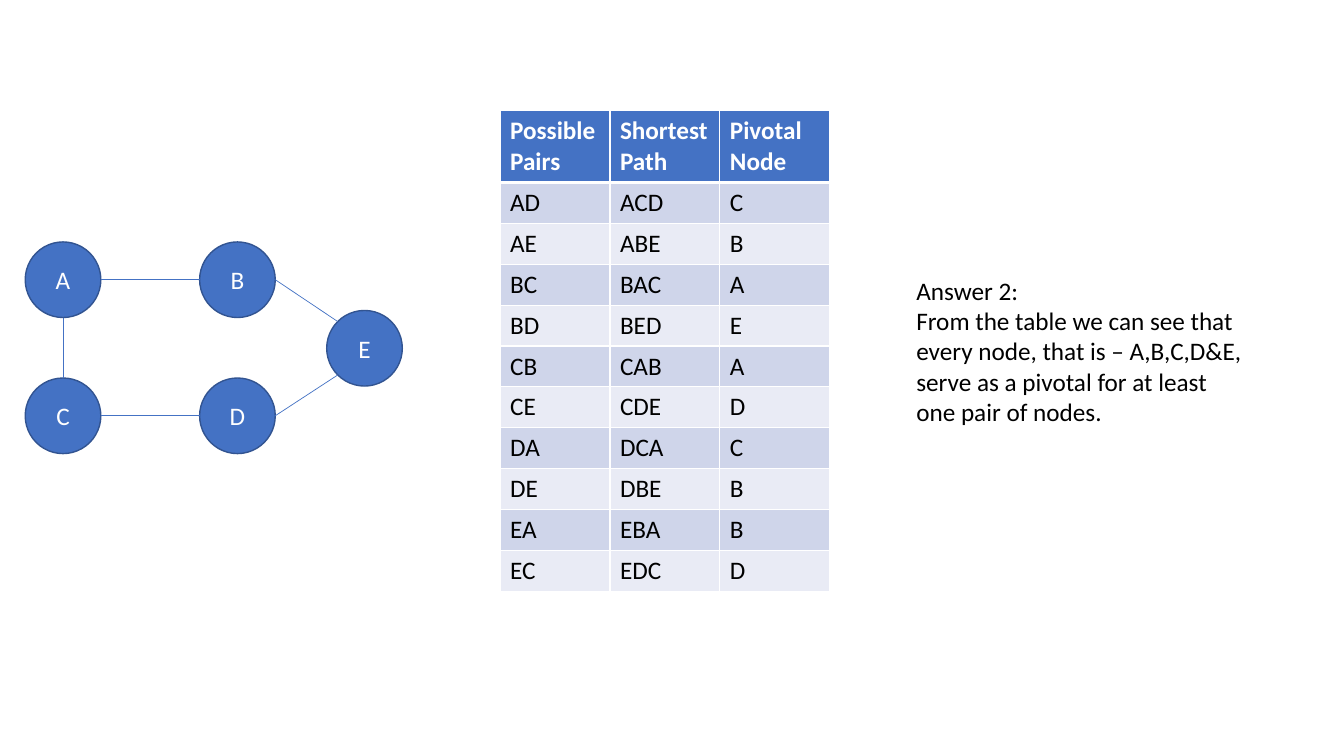
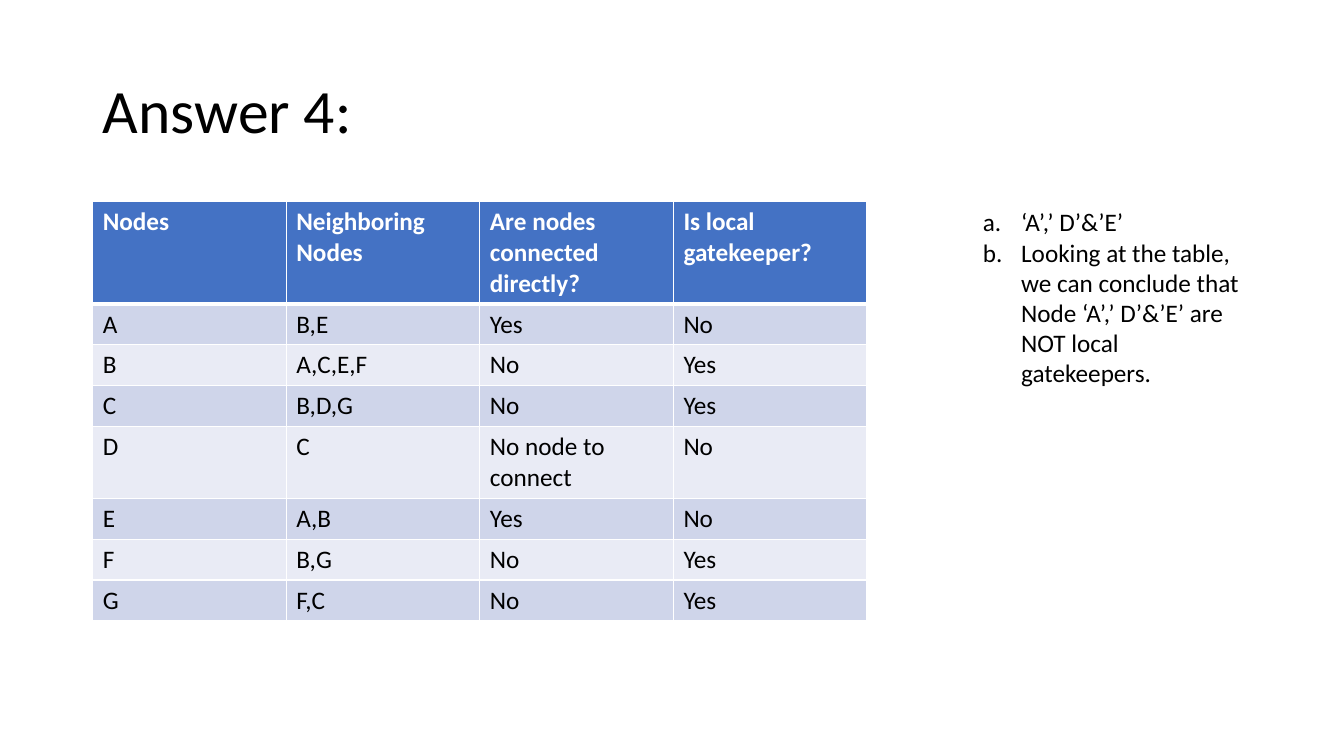
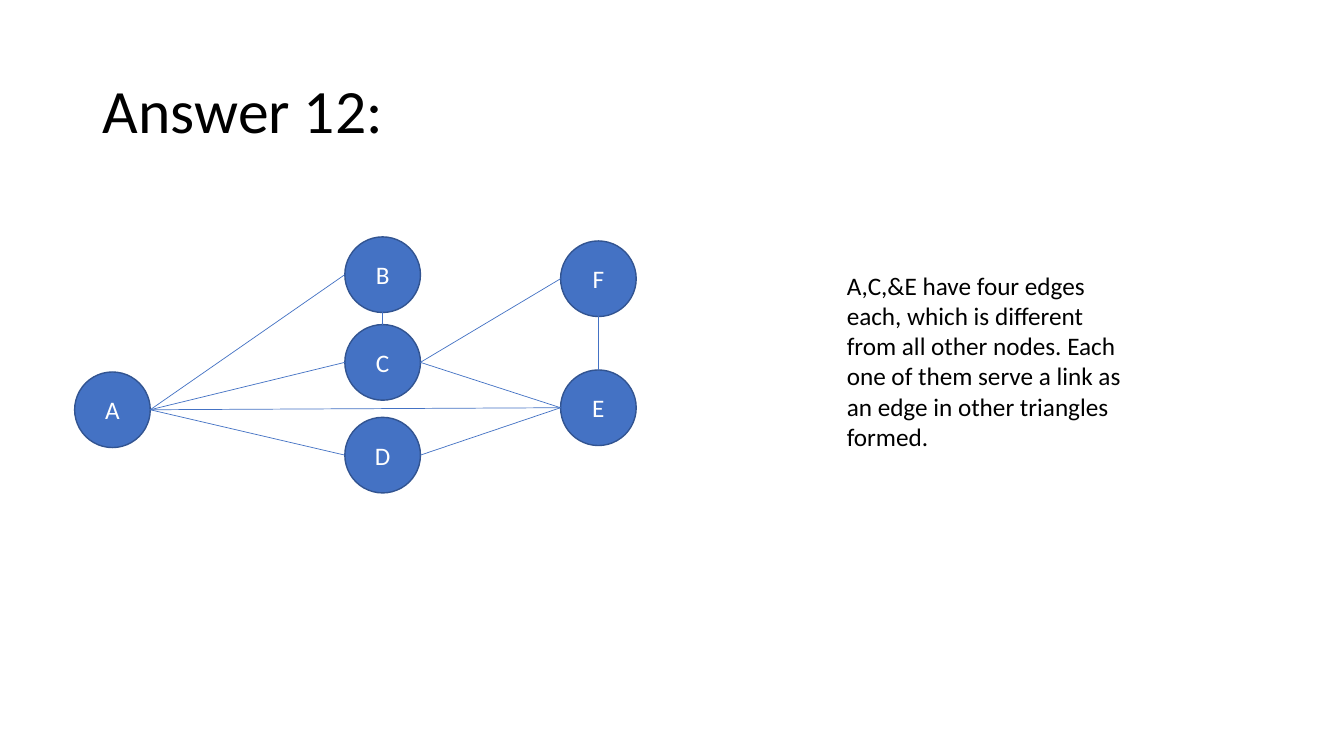
from dataclasses import dataclass
from math import sqrt

from lxml.etree import SubElement
from pptx import Presentation
from pptx.dml.color import RGBColor
from pptx.enum.shapes import MSO_CONNECTOR, MSO_SHAPE
from pptx.enum.text import MSO_ANCHOR, MSO_AUTO_SIZE, PP_ALIGN
from pptx.oxml.ns import qn
from pptx.util import Inches, Pt


@dataclass(frozen=True)
class Theme:
    """Colours, type sizes and line widths shared by all slides."""
    font: str = "Calibri"
    text: str = "000000"
    light: str = "FFFFFF"
    accent: str = "4472C4"
    outline: str = "325491"
    bands: tuple = ("CFD5EA", "E9EBF5")
    title_size: int = 44
    body_size: int = 18
    node_line: float = 1
    edge_line: float = 0.5
    cell_line: float = 1
    header_line: float = 3


NODE_SIZE = 0.75
DIAGONAL = 1 / sqrt(2)
SIDES = {"top": (0, -1), "bottom": (0, 1), "left": (-1, 0), "right": (1, 0),
         "top left": (-DIAGONAL, -DIAGONAL), "bottom left": (-DIAGONAL, DIAGONAL)}


def apply_format(target, values):
    """Set each attribute named in values on the target."""
    for name, value in values.items():
        setattr(target, name, value)


def paint(fill, colour):
    """Give a fill one solid colour."""
    fill.solid()
    fill.fore_color.rgb = RGBColor.from_string(colour)


class Deck:
    """Holds the theme and the current slide and draws elements on it."""

    def __init__(self, theme):
        """Start a widescreen presentation."""
        self.theme = theme
        self.presentation = Presentation()
        apply_format(self.presentation, {"slide_width": Inches(13.33), "slide_height": Inches(7.5)})
        self.slide = None

    def add_slide(self, title=None):
        """Start a blank slide, with a title if one is given."""
        self.slide = self.presentation.slides.add_slide(self.presentation.slide_layouts[6])
        if title:
            frame = self.text_box(0.92, 0.4, 11.5, 1.45, [title], size=self.theme.title_size)
            apply_format(frame, {"auto_size": MSO_AUTO_SIZE.NONE,
                                 "vertical_anchor": MSO_ANCHOR.MIDDLE})
            frame.paragraphs[0].line_spacing = 0.9

    def styled_run(self, paragraph, text, colour, size=None, bold=False):
        """Add one styled run to a paragraph."""
        run = paragraph.add_run()
        run.text = text
        apply_format(run.font, {"name": self.theme.font, "bold": bold,
                                "size": Pt(size or self.theme.body_size)})
        run.font.color.rgb = RGBColor.from_string(colour)

    def text_box(self, left, top, width, height, lines, size=None, lettered=False):
        """Add wrapped text, one paragraph a line, lettered a, b, c on request."""
        box = self.slide.shapes.add_textbox(*map(Inches, (left, top, width, height)))
        frame = box.text_frame
        apply_format(frame, {"word_wrap": True, "auto_size": MSO_AUTO_SIZE.SHAPE_TO_FIT_TEXT})
        for index, line in enumerate(lines):
            paragraph = frame.add_paragraph() if index else frame.paragraphs[0]
            self.styled_run(paragraph, line, self.theme.text, size)
            if lettered:
                properties = paragraph._p.get_or_add_pPr()
                properties.set("marL", str(Inches(0.38)))
                properties.set("indent", str(-Inches(0.38)))
                SubElement(properties, qn("a:buAutoNum"), type="alphaLcPeriod")
        return frame

    def node(self, label, left, top):
        """Add a labelled circle."""
        shape = self.slide.shapes.add_shape(
            MSO_SHAPE.OVAL, *map(Inches, (left, top, NODE_SIZE, NODE_SIZE)))
        shape.shadow.inherit = False
        paint(shape.fill, self.theme.accent)
        paint(shape.line.fill, self.theme.outline)
        shape.line.width = Pt(self.theme.node_line)
        shape.text_frame.vertical_anchor = MSO_ANCHOR.MIDDLE
        paragraph = shape.text_frame.paragraphs[0]
        paragraph.alignment = PP_ALIGN.CENTER
        self.styled_run(paragraph, label, self.theme.light)

    def edge(self, start, end):
        """Draw a thin line between two points."""
        line = self.slide.shapes.add_connector(
            MSO_CONNECTOR.STRAIGHT, *map(Inches, (*start, *end)))
        paint(line.line.fill, self.theme.accent)
        line.line.width = Pt(self.theme.edge_line)
        SubElement(line._element.spPr, qn("a:effectLst"))

    def graph(self, nodes, edges):
        """Draw nodes by label and the edges between their sides."""
        for label, (left, top) in nodes.items():
            self.node(label, left, top)
        radius = NODE_SIZE / 2

        def anchor(label, side):
            """Find the point on a side of a node."""
            return [corner + radius * (1 + offset)
                    for corner, offset in zip(nodes[label], SIDES[side])]

        for start, start_side, end, end_side in edges:
            self.edge(anchor(start, start_side), anchor(end, end_side))

    def cell_borders(self, cell, row):
        """Give a cell white borders, thick below the header row."""
        thick = {(0, "B"), (1, "T")}
        properties = cell._tc.get_or_add_tcPr()
        for side in "LRTB":
            width = self.theme.header_line if (row, side) in thick else self.theme.cell_line
            line = SubElement(properties, qn(f"a:ln{side}"), w=str(Pt(width)))
            fill = SubElement(line, qn("a:solidFill"))
            SubElement(fill, qn("a:srgbClr"), val=self.theme.light)

    def table(self, left, top, column_width, header_height, rows):
        """Add a banded table whose first row is the header."""
        row_height, columns = 0.4, len(rows[0])
        height = header_height + row_height * (len(rows) - 1)
        table = self.slide.shapes.add_table(
            len(rows), columns, *map(Inches, (left, top, column_width * columns, height))).table
        for column in table.columns:
            column.width = Inches(column_width)
        for index, values in enumerate(rows):
            header = index == 0
            table.rows[index].height = Inches(header_height if header else row_height)
            colour = self.theme.accent if header else self.theme.bands[(index - 1) % 2]
            for cell, value in zip(table.rows[index].cells, values):
                self.cell_borders(cell, index)
                paint(cell.fill, colour)
                self.styled_run(cell.text_frame.paragraphs[0], value,
                                self.theme.light if header else self.theme.text, bold=header)


def pivotal_slide(deck):
    """Build the slide on pivotal nodes."""
    deck.add_slide()
    deck.graph(
        {"A": (0.25, 2.4), "B": (1.98, 2.4), "C": (0.25, 3.75), "D": (1.98, 3.75),
         "E": (3.24, 3.08)},
        [("C", "top", "A", "bottom"), ("B", "right", "E", "top left"),
         ("D", "right", "E", "bottom left"), ("A", "right", "B", "left"),
         ("C", "right", "D", "left")])
    paths = ["ACD", "ABE", "BAC", "BED", "CAB", "CDE", "DCA", "DBE", "EBA", "EDC"]
    deck.table(4.96, 1.1, 1.09, 0.7,
               [("Possible Pairs", "Shortest Path", "Pivotal Node")]
               + [(first + last, first + pivot + last, pivot) for first, pivot, last in paths])
    deck.text_box(8.99, 2.68, 3.46, 1.62, [
        "Answer 2:",
        "From the table we can see that every node, that is – A,B,C,D&E, "
        "serve as a pivotal for at least one pair of nodes."])


def gatekeeper_slide(deck):
    """Build the slide on local gatekeepers."""
    deck.add_slide("Answer 4:")
    deck.table(0.92, 2, 1.92, 1, [
        ("Nodes", "Neighboring Nodes", "Are nodes connected directly?", "Is local gatekeeper?"),
        ("A", "B,E", "Yes", "No"),
        ("B", "A,C,E,F", "No", "Yes"),
        ("C", "B,D,G", "No", "Yes"),
        ("D", "C", "No node to connect", "No"),
        ("E", "A,B", "Yes", "No"),
        ("F", "B,G", "No", "Yes"),
        ("G", "F,C", "No", "Yes")])
    deck.text_box(9.65, 2, 2.77, 1.92, [
        "‘A’,’ D’&’E’",
        "Looking at the table, we can conclude that Node ‘A’,’ D’&’E’ "
        "are NOT local gatekeepers."], lettered=True)


def triangles_slide(deck):
    """Build the slide on nodes that link triangles."""
    deck.add_slide("Answer 12:")
    deck.graph(
        {"A": (0.74, 3.69), "F": (5.56, 2.39), "E": (5.56, 3.67), "C": (3.42, 3.22),
         "D": (3.42, 4.14), "B": (3.42, 2.35)},
        [("A", "right", label, "left") for label in "BDCE"]
        + [("C", "top", "B", "bottom")]
        + [(start, "right", end, "left") for start, end in ("CF", "CE", "DE")]
        + [("E", "top", "F", "bottom")])
    deck.text_box(8.3, 2.63, 3.08, 1.92, [
        "A,C,&E have four edges each, which is different from all other nodes. "
        "Each one of them serve a link as an edge in other triangles formed."])


def main():
    """Build all slides and save them."""
    deck = Deck(Theme())
    for build in (pivotal_slide, gatekeeper_slide, triangles_slide):
        build(deck)
    deck.presentation.save("out.pptx")


main()
